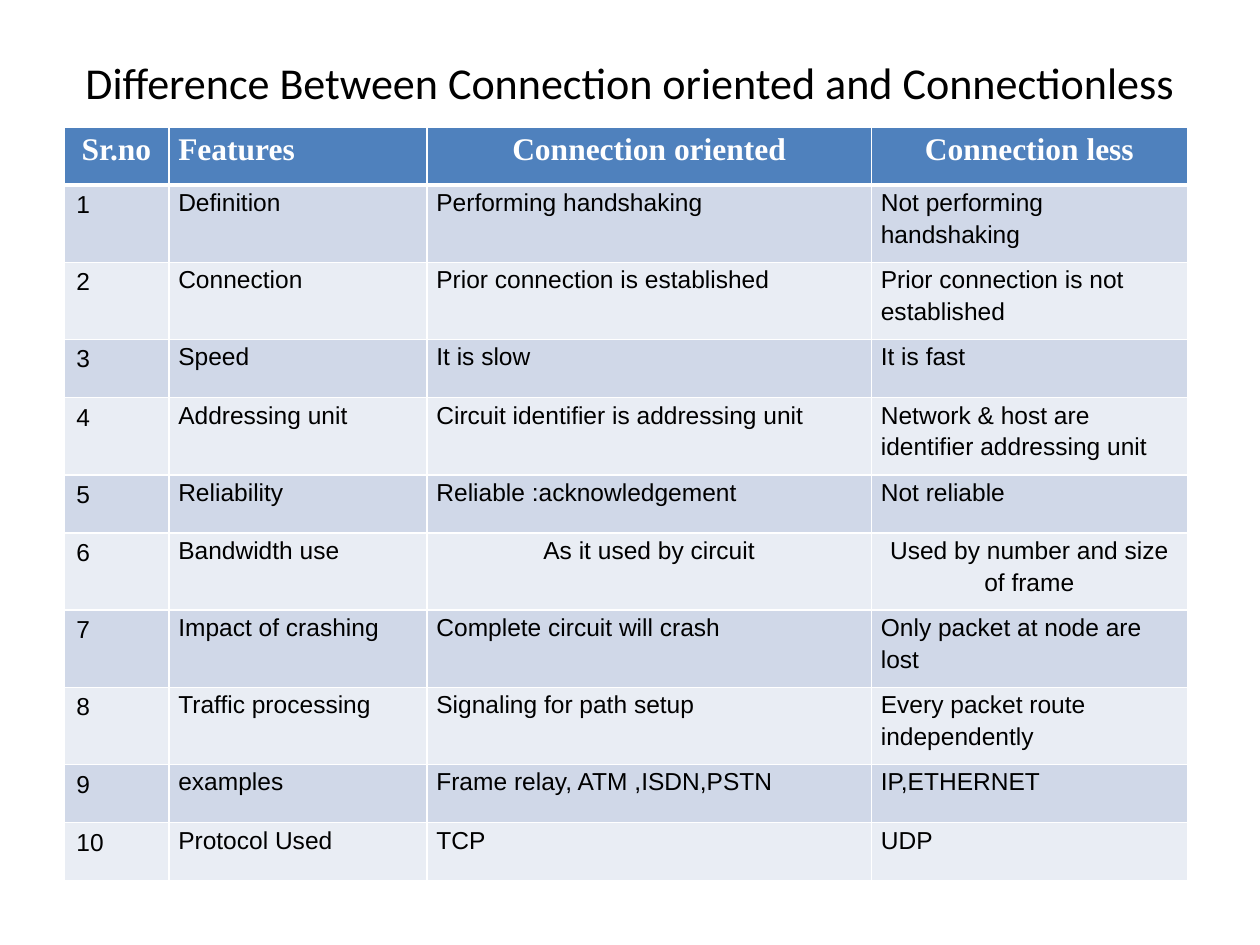
import pptx
import pptx.util
import pptx.dml.color
import pptx.enum.text
import pptx.oxml
import pptx.oxml.ns

Pt = pptx.util.Pt
ALIGN = pptx.enum.text.PP_ALIGN

COLORS = {
    "head": "4F81BD",
    "odd": "D0D8E8",
    "even": "E9EDF4",
    "white": "FFFFFF",
    "black": "000000",
}

TITLE = "Difference Between Connection oriented and Connectionless"
HEADS = ("Sr.no", "Features", "Connection oriented", "Connection less")
ROWS = (
    ("Definition", "Performing handshaking", "Not performing handshaking"),
    ("Connection", "Prior connection is established",
     "Prior connection is not established"),
    ("Speed", "It is slow", "It is fast"),
    ("Addressing unit", "Circuit identifier is addressing unit",
     "Network & host are identifier addressing unit"),
    ("Reliability", "Reliable :acknowledgement", "Not reliable"),
    ("Bandwidth use", "As it used by circuit",
     "Used by number and size of frame"),
    ("Impact of crashing", "Complete circuit will crash",
     "Only packet at node are lost"),
    ("Traffic processing", "Signaling for path setup",
     "Every packet route independently"),
    ("examples", "Frame relay, ATM ,ISDN,PSTN", "IP,ETHERNET"),
    ("Protocol Used", "TCP", "UDP"),
)
WIDTHS = (60, 147.5, 254, 180.5)
SHORT, TALL = 33.3, 44.1
TALL_ROWS = {1, 2, 4, 6, 7, 8}
# Centred cells as (row, column)
CENTRED = {(0, 0), (0, 2), (0, 3), (6, 2), (6, 3)}


def color(name):
    return pptx.dml.color.RGBColor.from_string(COLORS[name])


def style(font, face, size, shade, bold=False):
    font.name = face
    font.size = Pt(size)
    font.bold = bold
    font.color.rgb = color(shade)


def add_title(slide):
    title = slide.shapes.title
    title.left, title.top = Pt(36), Pt(21.6)
    title.width, title.height = Pt(648), Pt(50.4)
    frame = title.text_frame
    frame.text = TITLE
    frame.word_wrap = True
    frame.auto_size = pptx.enum.text.MSO_AUTO_SIZE.NONE
    frame.vertical_anchor = pptx.enum.text.MSO_ANCHOR.MIDDLE
    para = frame.paragraphs[0]
    para.alignment = ALIGN.CENTER
    style(para.runs[0].font, "Calibri", 25.2, "black")


def add_edges(cell, row):
    """Rule the cell in white, with a heavy line under the header."""
    props = cell._tc.get_or_add_tcPr()
    heavy = {(0, "B"), (1, "T")}
    for side in "LRTB":
        width = Pt(3 if (row, side) in heavy else 1)
        props.append(pptx.oxml.parse_xml(
            f'<a:ln{side} {pptx.oxml.ns.nsdecls("a")} w="{width}">'
            f'<a:solidFill><a:srgbClr val="{COLORS["white"]}"/></a:solidFill>'
            f'</a:ln{side}>'))


def fill_cell(cell, row, col, text):
    # Edges come before the fill in the cell properties
    add_edges(cell, row)
    cell.fill.solid()
    band = "head" if row == 0 else "odd" if row % 2 else "even"
    cell.fill.fore_color.rgb = color(band)

    cell.text_frame.text = text
    para = cell.text_frame.paragraphs[0]
    para.alignment = ALIGN.CENTER if (row, col) in CENTRED else ALIGN.LEFT
    # Body numbers keep the default margins and spacing
    if row == 0 or col > 0:
        cell.margin_left = cell.margin_right = Pt(5.4)
        cell.margin_top = cell.margin_bottom = Pt(0)
        para.line_spacing = 1.15
    font = para.runs[0].font
    if row == 0:
        style(font, "Times New Roman", 18, "white", True)
    else:
        style(font, "Arial", 14, "black")


def add_grid(slide):
    lines = [HEADS] + [(str(n), *row) for n, row in enumerate(ROWS, 1)]
    highs = [TALL if n in TALL_ROWS else SHORT for n in range(len(lines))]
    table = slide.shapes.add_table(
        len(lines), len(WIDTHS), Pt(36.5), Pt(72.5),
        Pt(sum(WIDTHS)), Pt(sum(highs))).table
    for col, width in zip(table.columns, WIDTHS):
        col.width = Pt(width)
    for row, high in zip(table.rows, highs):
        row.height = Pt(high)
    for r, line in enumerate(lines):
        for c, text in enumerate(line):
            fill_cell(table.cell(r, c), r, c, text)


def main():
    deck = pptx.Presentation()
    deck.slide_width, deck.slide_height = Pt(720), Pt(540)
    # Title Only layout
    slide = deck.slides.add_slide(deck.slide_layouts[5])
    add_title(slide)
    add_grid(slide)
    deck.save("out.pptx")


if __name__ == "__main__":
    main()
